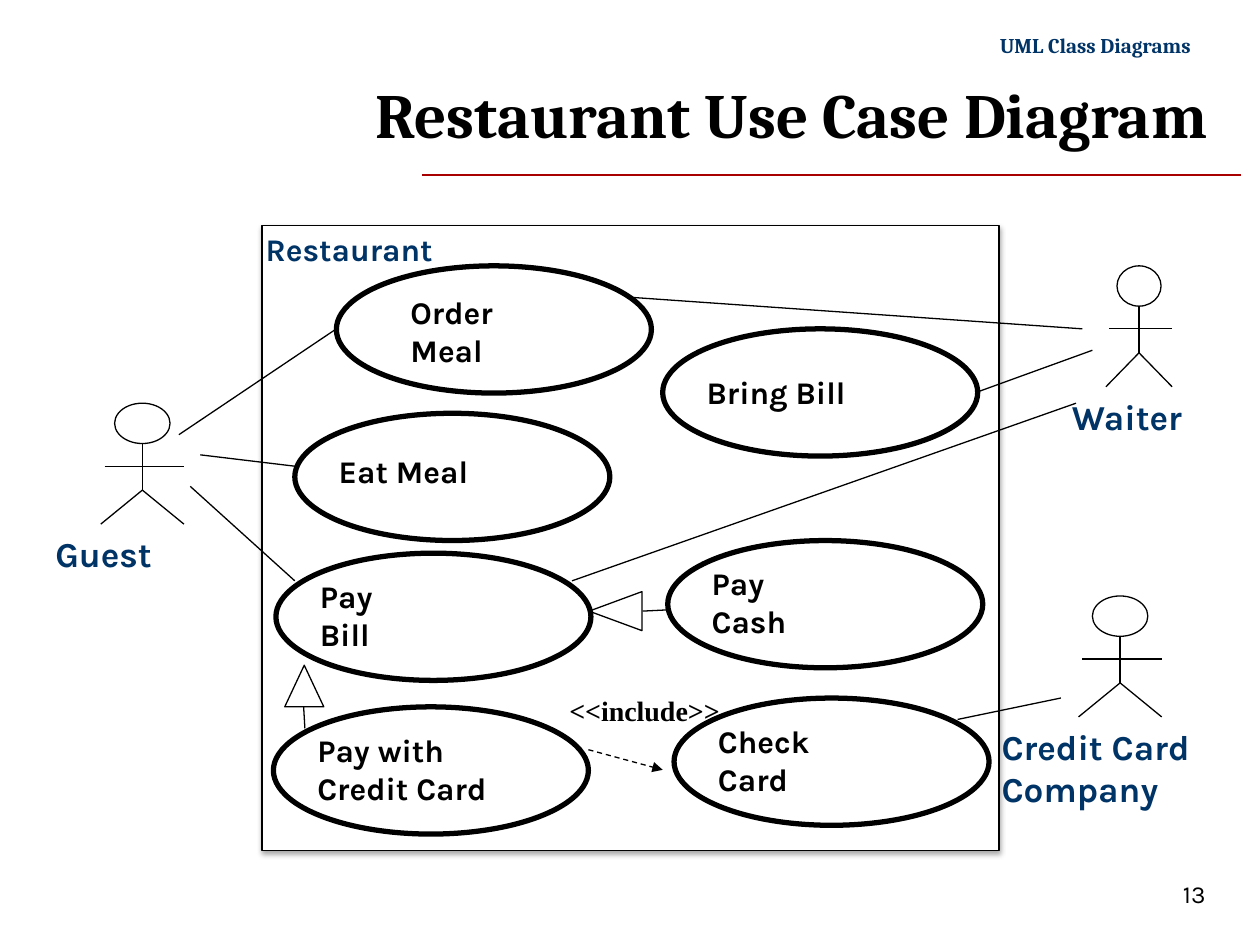
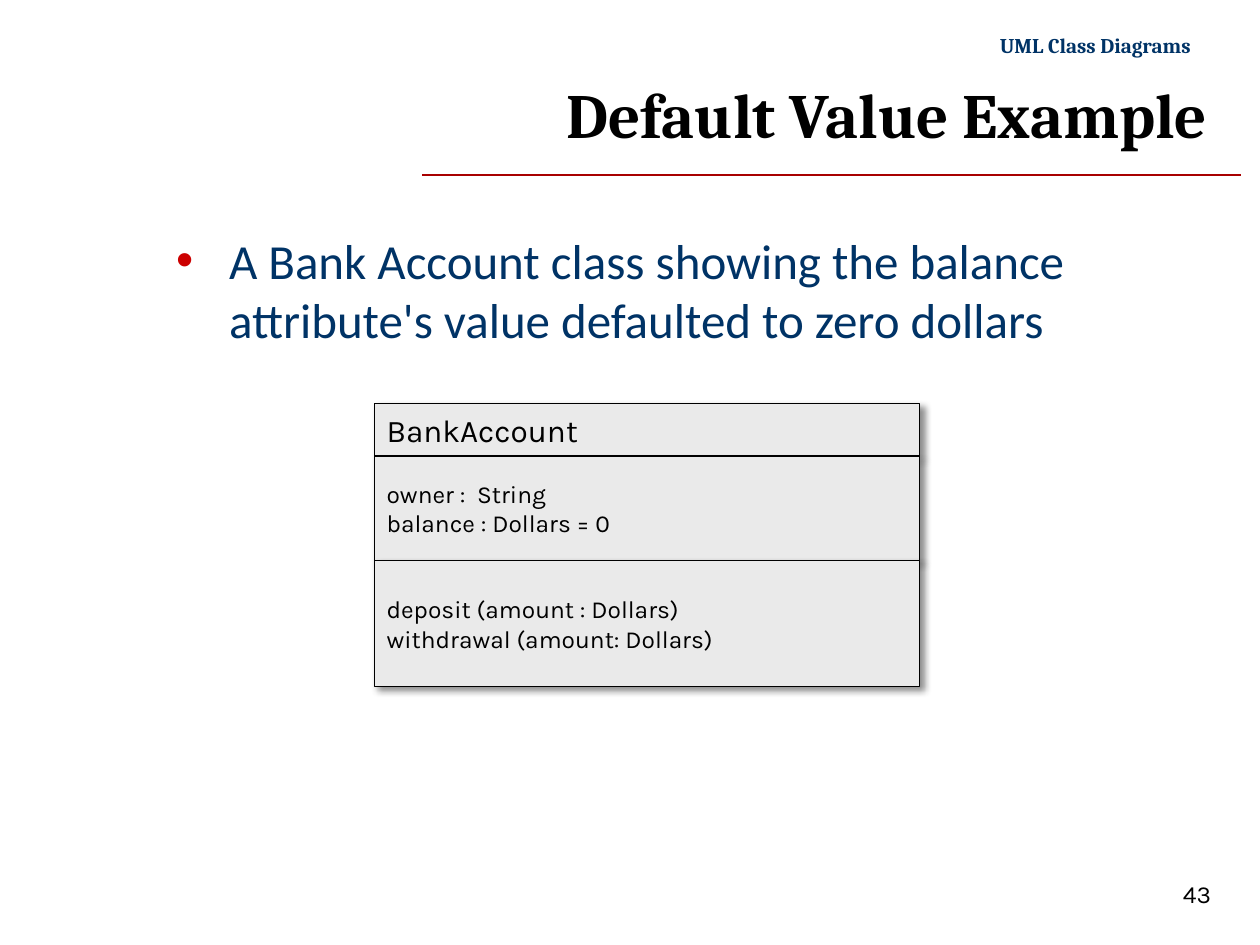
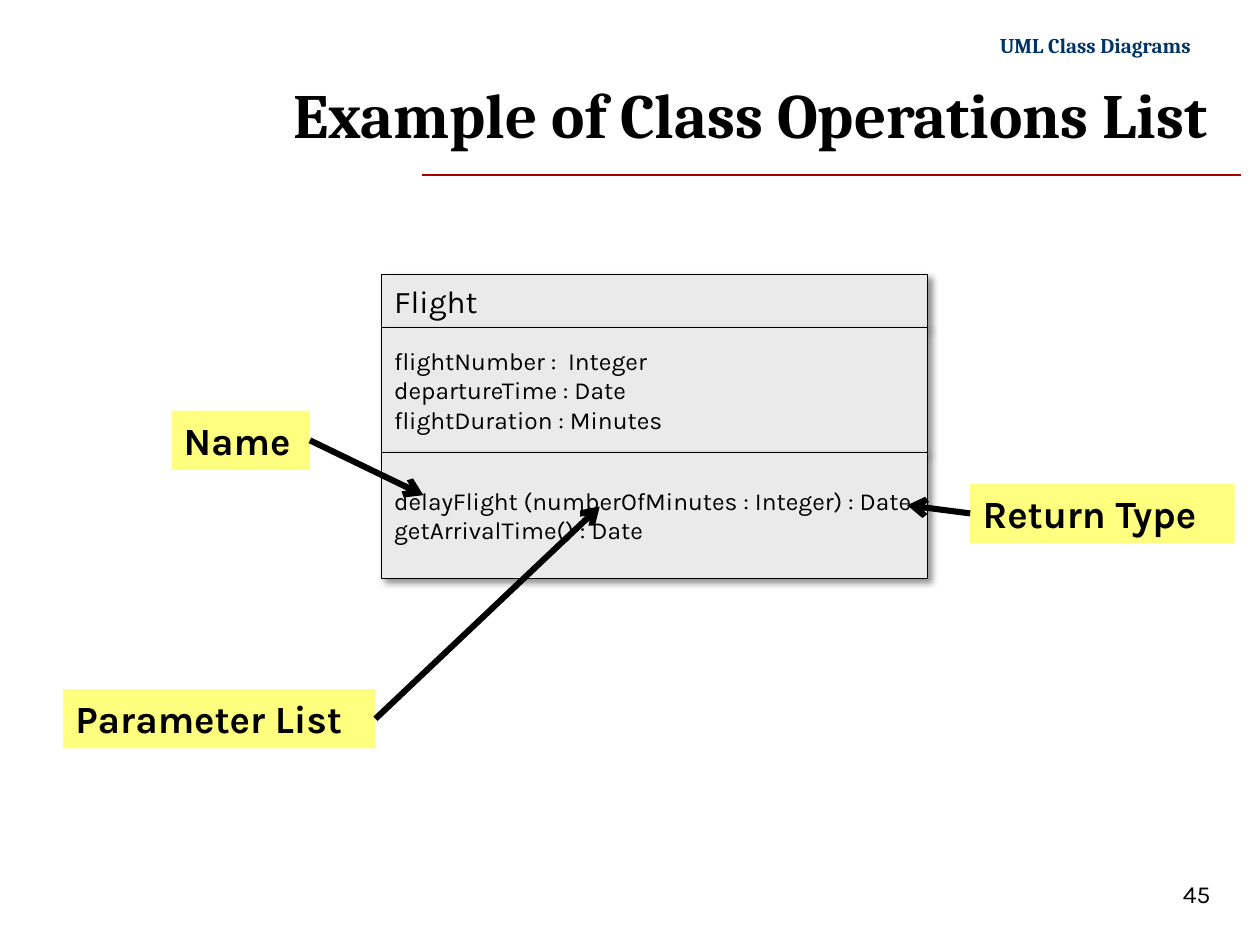
from pptx import Presentation
from pptx.dml.color import RGBColor as RGB
from pptx.enum.dml import MSO_LINE as Dash
from pptx.enum.shapes import MSO_CONNECTOR as Conn, MSO_SHAPE as Shape
from pptx.enum.text import MSO_ANCHOR as Anchor, PP_ALIGN as Align
from pptx.oxml.ns import qn
from pptx.oxml.xmlchemy import OxmlElement as Node
from pptx.util import Inches, Pt

HUES = {"ink": "000000", "navy": "003366", "rule": "A80000", "dot": "CC0000",
        "gray": "EAEAEA", "white": "FFFFFF", "note": "FFFF00"}

# Font formats by role
FONTS = {
    "head": dict(name="Cambria", size=12, bold=True, hue="navy"),
    "title": dict(name="Cambria", size=36, bold=True, hue="ink"),
    "page": dict(name="Karla", size=14, bold=False, hue="ink"),
    "body": dict(name="Calibri", size=28, bold=False, hue="navy"),
    "actor": dict(name="Karla", size=20, bold=True, hue="navy"),
    "system": dict(name="Karla", size=18, bold=True, hue="navy"),
    "case": dict(name="Karla", size=18, bold=True, hue="ink"),
    "stereo": dict(name="Times New Roman", size=16, bold=True, hue="ink"),
    "class": dict(name="Karla", size=18, bold=False, hue="ink"),
    "member": dict(name="Karla", size=14, bold=False, hue="ink"),
    "note": dict(name="Karla", size=22, bold=True, hue="ink"),
}

# Shadows: opacity, blur, distance, angle
SOFT = (35, 3.1, 1.8, 90)
DEEP = (43, 4, 3, 45)


def color(key):
    return RGB.from_string(HUES[key])


def child(parent, tag, **attrs):
    node = Node(tag)
    for key, value in attrs.items():
        node.set(key, str(value))
    parent.append(node)
    return node


class Deck:
    def __init__(self):
        self.prs = Presentation()
        self.prs.slide_width, self.prs.slide_height = Inches(10), Inches(7.5)
        self.slide = None

    def page(self, title, number):
        """Start a slide with the shared header, rule, number and title."""
        self.slide = self.prs.slides.add_slide(self.prs.slide_layouts[6])
        self.line((3.35, 1.39), (9.85, 1.39), hue="rule")
        self.text("UML Class Diagrams", (7.8, 0.21, 1.75, 0.3), "head",
                  wrap=False, align=Align.RIGHT)
        self.text(number, (9.29, 6.93, 0.71, 0.34), "page")
        self.text(title, (2.01, 0.52, 7.67, 0.75), "title",
                  align=Align.RIGHT, anchor=Anchor.MIDDLE)

    def label(self, shape, text, role, wrap=True, align=Align.LEFT,
              anchor=Anchor.TOP, bullet=False):
        frame = shape.text_frame
        frame.word_wrap, frame.vertical_anchor = wrap, anchor
        for i, words in enumerate(text.split("\n")):
            para = frame.add_paragraph() if i else frame.paragraphs[0]
            para.alignment = align
            if bullet:
                self.bullet(para)
            run = para.add_run()
            run.text = words
            for key, value in FONTS[role].items():
                if key == "hue":
                    run.font.color.rgb = color(value)
                else:
                    setattr(run.font, key, Pt(value) if key == "size" else value)

    def bullet(self, para):
        props = para._p.get_or_add_pPr()
        props.set("marL", str(Inches(0.42)))
        props.set("indent", str(Inches(-0.42)))
        child(child(props, "a:buClr"), "a:srgbClr", val=HUES["dot"])
        child(props, "a:buFont", typeface="Arial")
        child(props, "a:buChar", char="•")

    def text(self, text, box, role, **style):
        shape = self.slide.shapes.add_textbox(*map(Inches, box))
        self.label(shape, text, role, **style)

    def shape(self, kind, box, fill=None, width=0.75, shade=None):
        shape = self.slide.shapes.add_shape(kind, *map(Inches, box))
        shape.shadow.inherit = False
        if fill:
            shape.fill.solid()
            shape.fill.fore_color.rgb = color(fill)
        else:
            shape.fill.background()
        if width:
            shape.line.color.rgb = color("ink")
            shape.line.width = Pt(width)
        else:
            shape.line.fill.background()
        if shade:
            self.shade(shape, *shade)
        return shape

    def shade(self, shape, alpha, blur, dist, angle):
        effects = shape._element.spPr.find(qn("a:effectLst"))
        outer = child(effects, "a:outerShdw", blurRad=Pt(blur), dist=Pt(dist),
                      dir=angle * 60000, algn="ctr", rotWithShape=0)
        tone = child(outer, "a:srgbClr", val=HUES["ink"])
        child(tone, "a:alpha", val=alpha * 1000)

    def line(self, start, end, hue="ink", width=0.75, dash=False, tip=None):
        line = self.slide.shapes.add_connector(
            Conn.STRAIGHT, *map(Inches, (*start, *end)))
        line.line.color.rgb = color(hue)
        line.line.width = Pt(width)
        if dash:
            line.line.dash_style = Dash.DASH
        props = line._element.spPr
        if tip:
            child(props.find(qn("a:ln")), "a:tailEnd", type=tip)
        child(props, "a:effectLst")
        return line

    def actor(self, name, x, top, head, label):
        """Stick figure centred on x, with its label box (left, width, height)."""
        neck, arm, hip, foot = (top + d for d in (0.32, 0.5, 0.69, 0.96))
        reach = 0.75 * head
        self.line((x, neck), (x, hip))
        for side in (-reach, reach):
            self.line((x, hip), (x + side, foot))
        self.line((x - 0.68 * head, arm), (x + reach, arm))
        self.shape(Shape.OVAL, (x - head / 2, top, head, 0.32))
        left, width, height = label
        self.text(name, (left, top + 0.98, width, height), "actor")

    def case(self, name, x, y, dx=0.25, dy=0.14):
        self.shape(Shape.OVAL, (x, y, 2.5, 1.01), width=3)
        self.text(name, (x + dx, y + dy, 2, 0.71), "case")

    def parent(self, box, start, end, turn=0):
        """Hollow triangle and stem of a generalization."""
        self.shape(Shape.FLOWCHART_EXTRACT, box).rotation = turn
        self.line(start, end)

    def table(self, x, y, parts):
        """Class box: stacked compartments of (text, height)."""
        for i, (text, height) in enumerate(parts):
            box = self.shape(Shape.RECTANGLE, (x, y, 4.33, height), "gray",
                             shade=DEEP)
            self.label(box, text, "member" if i else "class", wrap=False,
                       anchor=Anchor.MIDDLE)
            y += height

    def note(self, text, x, y, width, side, target):
        """Yellow label with an arrow from one side (1 left, 3 right)."""
        box = self.shape(Shape.RECTANGLE, (x, y, width, 0.47), "note", width=0)
        tone = box._element.spPr.find(qn("a:solidFill"))[0]
        child(tone, "a:alpha", val=50000)
        self.label(box, text, "note", wrap=False)
        start = (x + (width if side == 3 else 0), y + 0.235)
        arrow = self.line(start, target, width=3.5, tip="arrow")
        arrow.begin_connect(box, side)


def main():
    deck = Deck()

    # Use case diagram
    deck.page("Restaurant Use Case Diagram", "13")
    deck.actor("Guest", 1.13, 3.2, 0.44, (0.34, 1.58, 0.44))
    deck.actor("Waiter", 9.04, 2.11, 0.35, (8.41, 1.26, 0.44))
    deck.shape(Shape.RECTANGLE, (2.08, 1.79, 5.85, 4.96), "white", shade=SOFT)
    deck.text("Restaurant", (2.01, 1.78, 1.82, 0.4), "system")
    deck.actor("Credit Card\nCompany", 8.89, 4.73, 0.44, (7.85, 2.08, 0.77))

    deck.case("Order\nMeal", 2.67, 2.11, dx=0.49, dy=0.17)
    deck.case("Eat Meal", 2.34, 3.28, dy=0.26)
    deck.case("Pay\nBill", 2.19, 4.39)
    deck.case("Pay with\nCredit Card", 2.17, 5.61)
    deck.case("Bring Bill", 5.26, 2.61, dy=0.3)
    deck.case("Check\nCard", 5.35, 5.54)
    deck.case("Pay\nCash", 5.3, 4.29)

    # Links between actors and cases
    for start, end in (
        ((1.42, 3.45), (2.67, 2.61)), ((1.59, 3.61), (2.34, 3.7)),
        ((1.51, 3.86), (2.34, 4.61)), ((8.59, 2.61), (5.01, 2.36)),
        ((8.67, 2.78), (7.76, 3.11)), ((8.54, 3.2), (4.54, 4.61)),
        ((7.6, 5.71), (8.42, 5.54)),
    ):
        deck.line(start, end)

    # Links between cases
    deck.line((4.67, 5.95), (5.26, 6.11), dash=True, tip="triangle")
    deck.text("<<include>>", (4.42, 5.45, 1.4, 0.37), "stereo",
              anchor=Anchor.MIDDLE)
    deck.parent((2.26, 5.28, 0.31, 0.33), (2.41, 5.61), (2.42, 5.78))
    deck.parent((4.73, 4.64, 0.31, 0.42), (5.1, 4.85), (5.31, 4.84), turn=270)

    # Default value
    deck.page("Default Value Example", "43")
    deck.text("A Bank Account class showing the balance attribute's value "
              "defaulted to zero dollars", (1.3, 1.78, 7.67, 1.83), "body",
              bullet=True)
    deck.table(2.97, 3.2, (
        ("BankAccount", 0.42),
        ("owner :  String\nbalance : Dollars = 0", 0.83),
        ("deposit (amount : Dollars)\nwithdrawal (amount: Dollars)", 1),
    ))

    # Class operations
    deck.page("Example of Class Operations List", "45")
    deck.table(3.03, 2.18, (
        ("Flight", 0.42),
        ("flightNumber :  Integer\ndepartureTime : Date\n"
         "flightDuration : Minutes", 0.99),
        ("delayFlight (numberOfMinutes : Integer) : Date\n"
         "getArrivalTime() : Date", 1),
    ))
    deck.note("Name", 1.36, 3.26, 1.1, 3, (3.36, 3.93))
    deck.note("Return Type", 7.7, 3.84, 2.1, 1, (7.2, 4.01))
    deck.note("Parameter List", 0.5, 5.47, 2.48, 3, (4.76, 4.02))

    deck.prs.save("out.pptx")


if __name__ == "__main__":
    main()
